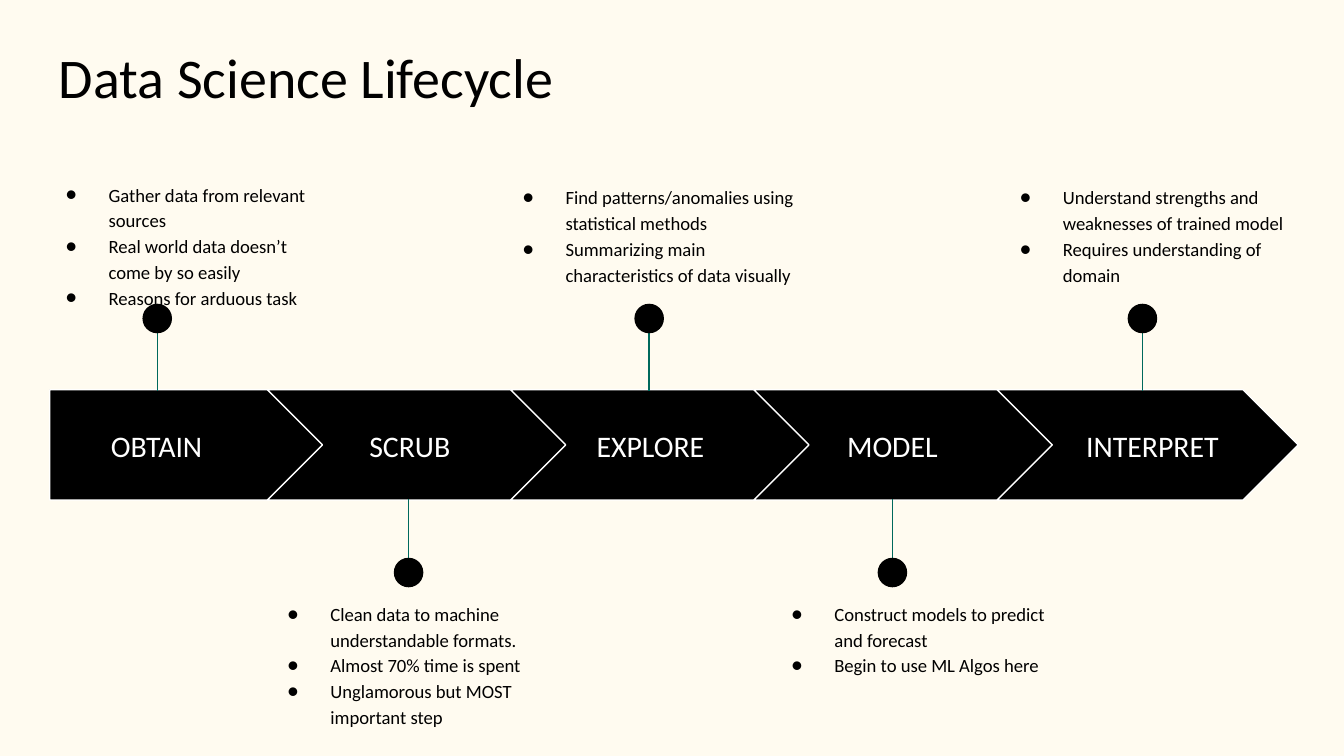
from lxml import etree
from pptx import Presentation
from pptx.dml.color import RGBColor
from pptx.enum.shapes import MSO_CONNECTOR, MSO_SHAPE
from pptx.enum.text import MSO_ANCHOR, PP_ALIGN
from pptx.oxml.ns import qn
from pptx.util import Inches, Pt

PENTAGON, CHEVRON, OVAL = MSO_SHAPE.PENTAGON, MSO_SHAPE.CHEVRON, MSO_SHAPE.OVAL
STRAIGHT = MSO_CONNECTOR.STRAIGHT
TOP, MIDDLE = MSO_ANCHOR.TOP, MSO_ANCHOR.MIDDLE
LEFT, CENTER = PP_ALIGN.LEFT, PP_ALIGN.CENTER
BLACK, WHITE, TEAL, CREAM = "000000", "FFFFFF", "00695C", "FFFBF0"


def rgb(value):
    return RGBColor.from_string(value)


def add_text(x, y, w, h, lines, size, color, anchor=TOP, align=LEFT):
    s = slide.shapes.add_textbox(Inches(x), Inches(y), Inches(w), Inches(h))
    tf = s.text_frame
    tf.word_wrap = True
    tf.vertical_anchor = anchor
    tf.margin_left = tf.margin_right = Inches(0.1)
    tf.margin_top = tf.margin_bottom = Inches(0.1)
    tf.text = "\n".join(lines)
    for p in tf.paragraphs:
        p.alignment = align
        font = p.runs[0].font
        font.name, font.size = "Calibri", Pt(size)
        font.color.rgb = rgb(color)
    return tf


# 16:9 page
prs = Presentation()
prs.slide_width = Inches(10)
prs.slide_height = Inches(10) * 9 // 16
slide = prs.slides.add_slide(prs.slide_layouts[6])
slide.background.fill.solid()
slide.background.fill.fore_color.rgb = rgb(CREAM)

# Per stage: name, label left and width, pin centre, notes box, notes
stages = [
    ("OBTAIN", 0.37, 1.59, 1.17, (0.21, 1.24, 2.29),
     ["Gather data from relevant sources",
      "Real world data doesn’t come by so easily",
      "Reasons for arduous task"]),
    ("SCRUB", 2.33, 1.44, 3.04, (1.86, 4.36, 2.45),
     ["Clean data to machine understandable formats.",
      "Almost 70% time is spent",
      "Unglamorous but MOST important step"]),
    ("EXPLORE", 4.12, 1.44, 4.83, (3.61, 1.26, 2.45),
     ["Find patterns/anomalies using statistical methods",
      "Summarizing main characteristics of data visually"]),
    ("MODEL", 5.92, 1.44, 6.64, (5.61, 4.36, 2.45),
     ["Construct models to predict and forecast",
      "Begin to use ML Algos here"]),
    ("INTERPRET", 7.78, 1.59, 8.5, (7.31, 1.26, 2.45),
     ["Understand strengths and weaknesses of trained model",
      "Requires understanding of domain"]),
]
STEP, DOT = 1.81, 0.22

for i, (name, label_x, label_w, pin_x, box, notes) in enumerate(stages):
    # Arrow band
    kind, x, w = (CHEVRON, 0.18 + STEP * i, 2.24) if i else (PENTAGON, 0.37, 2.05)
    s = slide.shapes.add_shape(kind, Inches(x), Inches(2.9), Inches(w), Inches(0.82))
    s.shadow.inherit = False
    s.adjustments[0] = 0.5
    s.fill.solid()
    s.fill.fore_color.rgb = rgb(BLACK)
    s.line.color.rgb = rgb(WHITE)
    s.line.width = Pt(0.75)
    add_text(label_x, 3.06, label_w, 0.51, [name], 16, WHITE, MIDDLE, CENTER)

    # Pin: above the band for even stages, below for odd ones
    start, end, dot_y = (4.32, 3.71, 4.15) if i % 2 else (2.3, 2.91, 2.26)
    line = slide.shapes.add_connector(
        STRAIGHT, Inches(pin_x), Inches(start), Inches(pin_x), Inches(end))
    line.line.color.rgb = rgb(TEAL)
    line.line.width = Pt(0.75)
    etree.SubElement(line._element.spPr, qn("a:effectLst"))
    dot = slide.shapes.add_shape(
        OVAL, Inches(pin_x - DOT / 2), Inches(dot_y), Inches(DOT), Inches(DOT))
    dot.shadow.inherit = False
    dot.fill.solid()
    dot.fill.fore_color.rgb = rgb(BLACK)
    dot.line.fill.background()

    # Bulleted notes
    tf = add_text(*box, 0.99, notes, 10, BLACK)
    for p in tf.paragraphs:
        p.line_spacing = 1.15
        pPr = p._p.get_or_add_pPr()
        pPr.set("marL", str(Inches(0.5)))
        pPr.set("indent", str(Inches(-0.32)))
        color = etree.SubElement(pPr, qn("a:buClr"))
        etree.SubElement(color, qn("a:srgbClr"), val=BLACK)
        etree.SubElement(pPr, qn("a:buFont"), typeface="Calibri")
        etree.SubElement(pPr, qn("a:buChar"), char="●")

# Title
add_text(0.34, 0.22, 9.32, 0.66, ["Data Science Lifecycle"], 30, BLACK)

prs.save("out.pptx")
